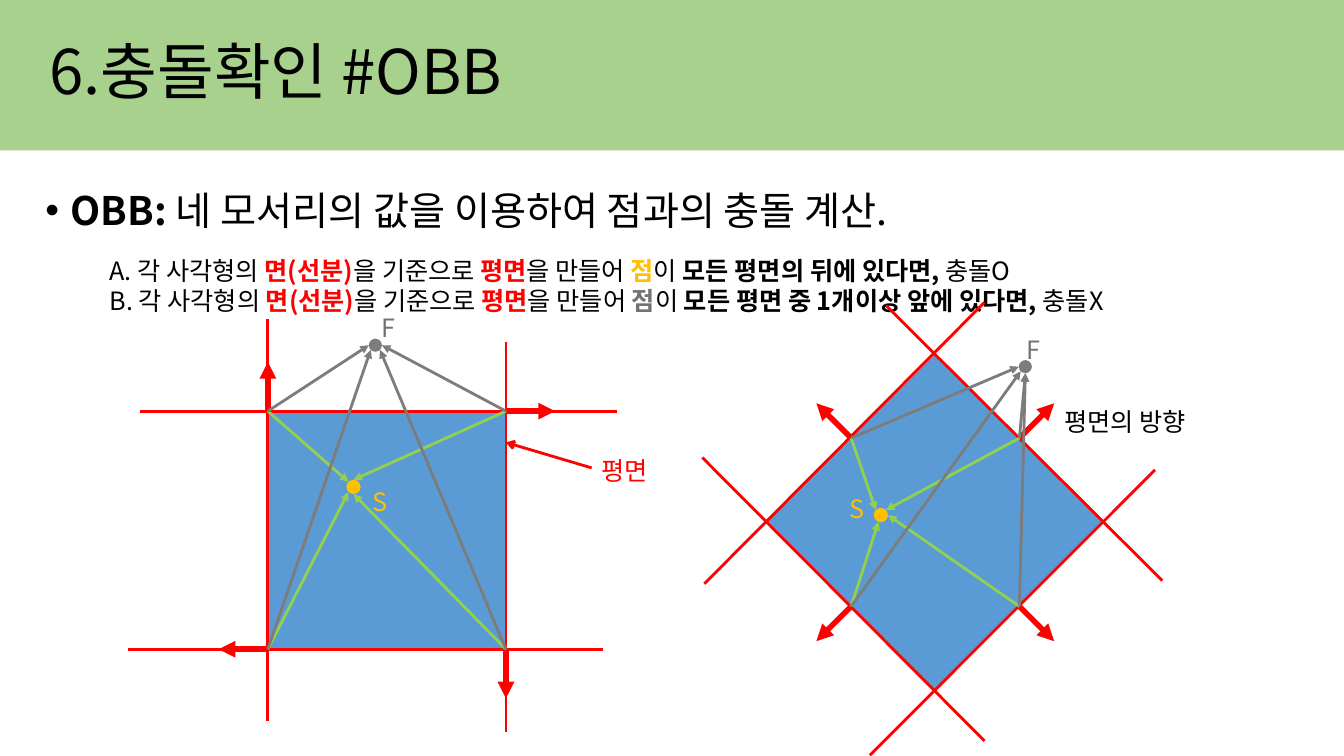
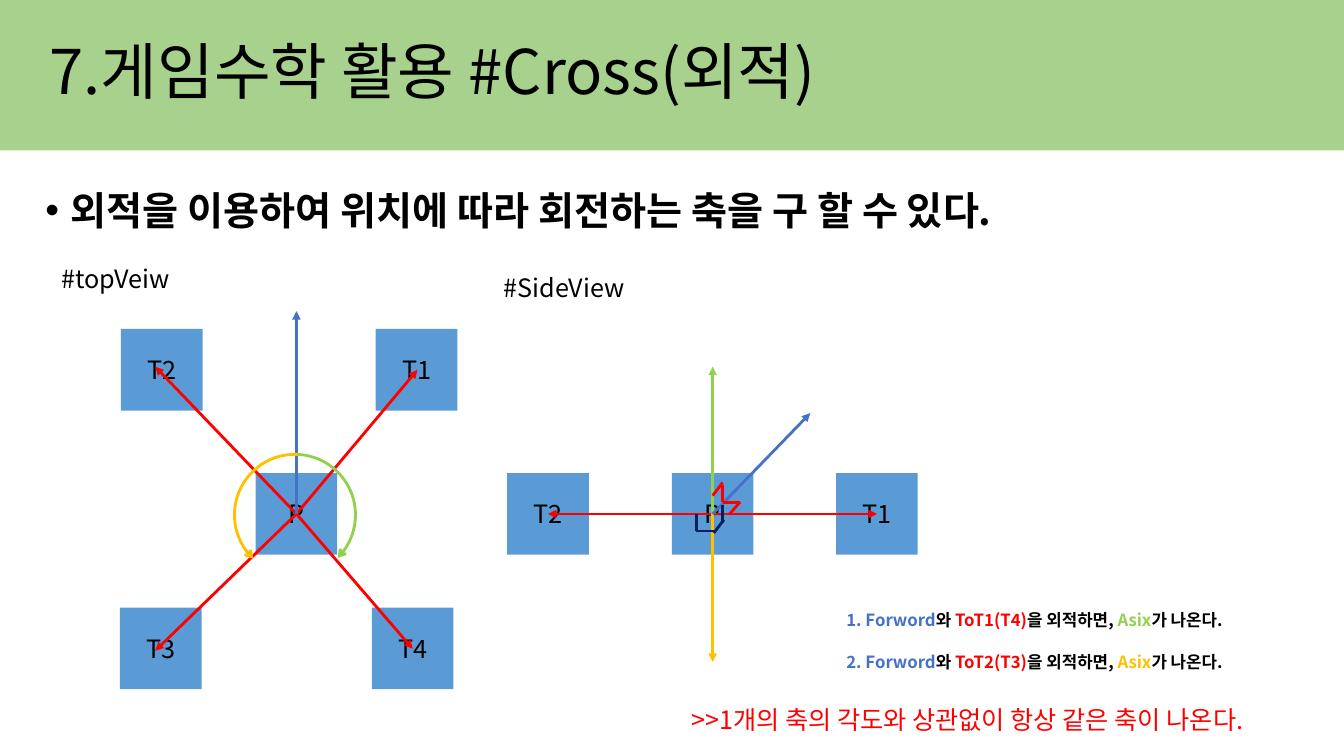
from math import cos, radians, sin

from lxml.etree import SubElement
from pptx import Presentation
from pptx.dml.color import RGBColor
from pptx.enum.shapes import MSO_CONNECTOR, MSO_SHAPE
from pptx.enum.text import MSO_ANCHOR, MSO_AUTO_SIZE, PP_ALIGN
from pptx.oxml.ns import qn
from pptx.util import Cm, Pt

FONT = "Noto Sans CJK KR"
BLACK, RED, GOLD, GREEN = "000000", "FF0000", "FFC000", "92D050"
BAND, TILE, FORWARD, NAVY = "A9D18E", "5B9BD5", "4472C4", "002060"
GRAY, GRAY_TEXT = "7C7C7C", "767171"
SLIDE_W, SLIDE_H = 33.87, 19.05
TILE_SIZE = 2.06


def rgb(value):
    """Turn a hex string into a colour."""
    return RGBColor.from_string(value)


def add_run(paragraph, text, *, size=18, color=BLACK, bold=False):
    """Append one formatted run to a paragraph."""
    run = paragraph.add_run()
    run.text = text
    run.font.size = Pt(size)
    run.font.bold = bold
    run.font.color.rgb = rgb(color)
    run.font.name = FONT
    SubElement(run._r.get_or_add_rPr(), qn("a:ea"), typeface=FONT)


def place(part, left, top, width, height):
    """Move and size a placeholder in centimetres."""
    part.left, part.top = Cm(left), Cm(top)
    part.width, part.height = Cm(width), Cm(height)


def add_label(slide, left, top, width, *lines, height=1.02, **style):
    """Add a text box whose lines are lists of (text, format) runs or strings."""
    frame = slide.shapes.add_textbox(Cm(left), Cm(top), Cm(width), Cm(height)).text_frame
    frame.word_wrap = True
    for number, line in enumerate(lines):
        paragraph = frame.add_paragraph() if number else frame.paragraphs[0]
        runs = [(line, {})] if isinstance(line, str) else line
        for text, own in runs:
            add_run(paragraph, text, **{**style, **own})


def add_filled(slide, kind, left, top, width, height, color, turn=0):
    """Add a flat preset shape without an outline."""
    shape = slide.shapes.add_shape(kind, Cm(left), Cm(top), Cm(width), Cm(height))
    shape.shadow.inherit = False
    shape.fill.solid()
    shape.fill.fore_color.rgb = rgb(color)
    shape.line.fill.background()
    shape.rotation = turn
    return shape


def style_line(shape, color, width=2, **ends):
    """Colour a line and give it arrowheads."""
    shape.line.color.rgb = rgb(color)
    shape.line.width = Pt(width)
    outline = shape.line._get_or_add_ln()
    for end, arrow in ends.items():
        SubElement(outline, qn(f"a:{end}End"), type=arrow)


def add_line(slide, origin, start, end, color, width=2, **ends):
    """Draw a line between two points relative to an origin."""
    x, y = origin
    line = slide.shapes.add_connector(
        MSO_CONNECTOR.STRAIGHT,
        Cm(x + start[0]), Cm(y + start[1]), Cm(x + end[0]), Cm(y + end[1]))
    style_line(line, color, width, **ends)
    SubElement(line._element.spPr, qn("a:effectLst"))


def polar(center, radius, angle):
    """Return the point at an angle in degrees around a centre."""
    return (center[0] + radius * cos(radians(angle)),
            center[1] + radius * sin(radians(angle)))


def start_slide(deck, heading, bullet):
    """Add a slide with the green band, title and bullet line."""
    slide = deck.slides.add_slide(deck.slide_layouts[1])
    band = add_filled(slide, MSO_SHAPE.RECTANGLE, 0, -0.05, SLIDE_W, 3.84, BAND)
    slide.shapes._spTree.insert(2, band._element)

    title, body = slide.placeholders
    place(title, 0.99, 0.05, 29.21, 3.68)
    place(body, 0.89, 4.7, 32.05, 1.55)
    for part, anchor in ((title, MSO_ANCHOR.MIDDLE), (body, MSO_ANCHOR.TOP)):
        frame = part.text_frame
        frame.auto_size = MSO_AUTO_SIZE.NONE
        frame.word_wrap = True
        frame.vertical_anchor = anchor
        paragraph = frame.paragraphs[0]
        paragraph.alignment = PP_ALIGN.LEFT
        paragraph.line_spacing = 0.9
        paragraph.space_before = Pt(0)
    add_run(title.text_frame.paragraphs[0], heading, size=44)

    point = body.text_frame.paragraphs[0]
    indents = point._p.get_or_add_pPr()
    indents.set("marL", str(Cm(0.64)))
    indents.set("indent", str(Cm(-0.64)))
    SubElement(indents, qn("a:buFont"), typeface="Arial")
    SubElement(indents, qn("a:buChar"), char="•")
    for text, bold in bullet:
        add_run(point, text, size=28, bold=bold)
    return slide


def add_target(slide, origin, name, center, color, label_at, corners, sites, diameter, text_color):
    """Draw a test point, its letter and the arrows reaching it from the corners."""
    radius = diameter / 2
    x, y = origin
    add_filled(slide, MSO_SHAPE.OVAL, x + center[0] - radius, y + center[1] - radius,
               diameter, diameter, color)
    add_label(slide, x + label_at[0], y + label_at[1], 1.02, name, color=text_color)
    ray = GREEN if name == "S" else color
    for corner, site in zip(corners, sites):
        add_line(slide, origin, corner, polar(center, radius, site), ray, tail="triangle")


def add_obb_figure(slide, origin, turn, reach, first_normal, planes, inside, outside):
    """Draw a box with its planes, normals and two test points around a centre."""
    side = 6
    add_filled(slide, MSO_SHAPE.RECTANGLE, origin[0] - side / 2, origin[1] - side / 2,
               side, side, TILE, turn)
    for start, end in planes:
        add_line(slide, origin, start, end, RED)
    corners = [(-reach, -reach), (reach, -reach), (reach, reach), (-reach, reach)]
    for number, corner in enumerate(corners):
        tip = polar(corner, 1.24, first_normal + 90 * number)
        add_line(slide, origin, corner, tip, RED, 4, tail="triangle")
    add_target(slide, origin, "S", inside[0], GOLD, inside[1], corners, inside[2], 0.36, GOLD)
    add_target(slide, origin, "F", outside[0], GRAY, outside[1], corners, outside[2], 0.33,
               GRAY_TEXT)


def rule_line(letter, point_color, condition, result):
    """Return the runs of one collision rule."""
    red, strong = {"color": RED, "bold": True}, {"bold": True}
    return [(f"{letter}. 각 사각형의 ", {}), ("면(선분)", red), ("을 기준으로 ", {}),
            ("평면", red), ("을 만들어 ", {}), ("점", {"color": point_color, "bold": True}),
            ("이 ", {}), (condition, strong), (result, {})]


def build_obb(deck):
    """Build the slide on oriented box collision."""
    slide = start_slide(deck, "6.충돌확인 #OBB", [
        ("OBB: ", True), ("네 모서리의 값을 이용하여 점과의 충돌 계산.", False)])
    add_label(slide, 2.51, 6.3, 29.97,
              rule_line("A", GOLD, "모든 평면의 뒤에 있다면, ", "충돌O"),
              rule_line("B", GRAY_TEXT, "모든 평면 중 1개이상 앞에 있다면, ", "충돌X"),
              height=2.57)
    add_obb_figure(
        slide, (9.75, 13.36), 0, 3, -90,
        planes=[((-3, -5.31), (-3, 4.8)), ((-6.22, -3), (5.79, -3)),
                ((-6.53, 3), (5.44, 3)), ((3, -4.75), (3, 5.08))],
        inside=((-0.84, -1.09), (-0.61, -1.22), (-135, -90, 90, 135)),
        outside=((-0.29, -4.66), (-0.38, -5.61), (180, 0, 45, 135)))
    add_obb_figure(
        slide, (23.57, 13.16), 315, 2.12, -135,
        planes=[((-5.87, -1.63), (1.24, 5.51)), ((-5.82, 1.55), (1.24, -5.54)),
                ((-1.65, 5.87), (5.54, -1.32)), ((-1.24, -5.46), (5.72, 1.47))],
        inside=((-1.37, -0.18), (-2.41, -0.86), (-135, -45, 0, 110)),
        outside=((2.27, -3.92), (2.06, -4.85), (180, 90, 90, 135)))
    add_label(slide, 14.91, 11.35, 1.88, "평면", color=RED)
    add_line(slide, (14.91, 11.79), (0, 0), (-2.16, -0.64), RED, tail="arrow")
    add_label(slide, 26.57, 10.11, 4.01, "평면의 방향")


def add_tile(slide, origin, name, center=(0, 0)):
    """Draw a named square around a point."""
    half = TILE_SIZE / 2
    tile = add_filled(slide, MSO_SHAPE.RECTANGLE, origin[0] + center[0] - half,
                      origin[1] + center[1] - half, TILE_SIZE, TILE_SIZE, TILE)
    tile.text_frame.vertical_anchor = MSO_ANCHOR.MIDDLE
    paragraph = tile.text_frame.paragraphs[0]
    paragraph.alignment = PP_ALIGN.CENTER
    add_run(paragraph, name)


def add_view(slide, origin, targets, axes):
    """Draw the player tile, its targets and the arrows leaving the player."""
    add_tile(slide, origin, "P")
    for name, center, _ in targets:
        add_tile(slide, origin, name, center)
    for _, _, tip in targets:
        add_line(slide, origin, (0, 0), tip, RED, tail="triangle")
    for tip, color in axes:
        add_line(slide, origin, (0, 0), tip, color, tail="triangle")


def add_top_view(slide, origin):
    """Draw the view from above with its two turning arcs."""
    add_view(slide, origin, [
        ("T1", (3.03, -3.63), (3.05, -3.63)), ("T2", (-3.39, -3.63), (-3.56, -3.71)),
        ("T3", (-3.42, 3.39), (-3.56, 3.45)), ("T4", (2.93, 3.39), (2.93, 3.4)),
    ], [((0, -5.11), FORWARD)])
    for start, end, color, ends in ((162, 27.12, GREEN, {"tail": "arrow"}),
                                    (80.15, 163.59, GOLD, {"head": "arrow"})):
        arc = slide.shapes.add_shape(MSO_SHAPE.ARC, Cm(origin[0] - 1.56), Cm(origin[1] - 1.5),
                                     Cm(3.05), Cm(3.05))
        arc.shadow.inherit = False
        arc.fill.background()
        arc.adjustments[0], arc.adjustments[1] = start, end
        style_line(arc, color, **ends)


def add_side_view(slide, origin):
    """Draw the view from the side with its right angle marks."""
    add_view(slide, origin, [
        ("T1", (4.14, 0), (4.14, 0)), ("T2", (-4.15, 0), (-4.15, 0)),
    ], [((0, -3.71), GREEN), ((0, 3.73), GOLD), ((2.46, -2.54), FORWARD)])
    angle_marks = {
        RED: [((0.69, -0.28), (0.25, -0.28)), ((0.25, -0.79), (0, -0.46)),
              ((0.25, -0.74), (0.25, -0.3)), ((0.69, -0.3), (0.43, 0))],
        NAVY: [((-0.41, 0), (-0.41, 0.43)), ((0.03, 0.43), (-0.41, 0.43)),
               ((0.25, -0.23), (0.25, 0.23)), ((0.28, 0.15), (0.03, 0.48))],
    }
    for color, marks in angle_marks.items():
        for start, end in marks:
            add_line(slide, origin, start, end, color)


def build_cross(deck):
    """Build the slide on the cross product."""
    slide = start_slide(deck, "7.게임수학 활용 #Cross(외적)", [
        ("외적을 이용하여 위치에 따라 회전하는 축을 구 할 수 있다.", True)])
    add_label(slide, 1.3, 6.5, 4.24, "#topVeiw")
    add_label(slide, 12.45, 6.73, 4.24, "#SideView")
    add_top_view(slide, (7.47, 12.95))
    add_side_view(slide, (17.96, 12.95))
    for number, (target, color) in enumerate((("ToT1(T4)", GREEN), ("ToT2(T3)", GOLD))):
        add_label(slide, 21.08, 15.24 + 1.07 * number, 10.92, [
            (f"{number + 1}. Forword", {"color": FORWARD}), ("와 ", {}),
            (target, {"color": RED}), ("을 외적하면, ", {}),
            ("Asix", {"color": color}), ("가 나온다.", {}),
        ], height=0.76, size=12, bold=True)
    add_label(slide, 17.17, 17.63, 16.94,
              ">>1개의 축의 각도와 상관없이 항상 같은 축이 나온다.", color=RED)


def main():
    """Build and save the presentation."""
    deck = Presentation()
    deck.slide_width, deck.slide_height = Cm(SLIDE_W), Cm(SLIDE_H)
    build_obb(deck)
    build_cross(deck)
    deck.save("out.pptx")


if __name__ == "__main__":
    main()
